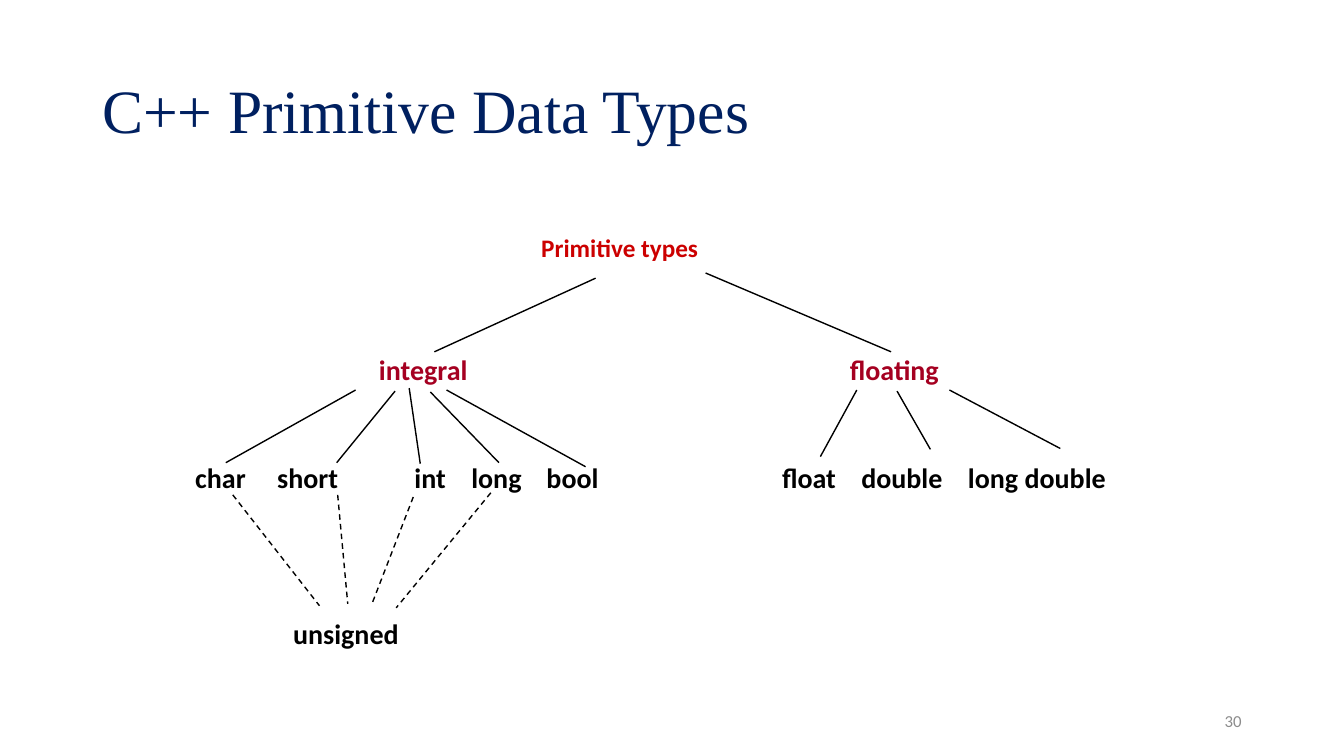
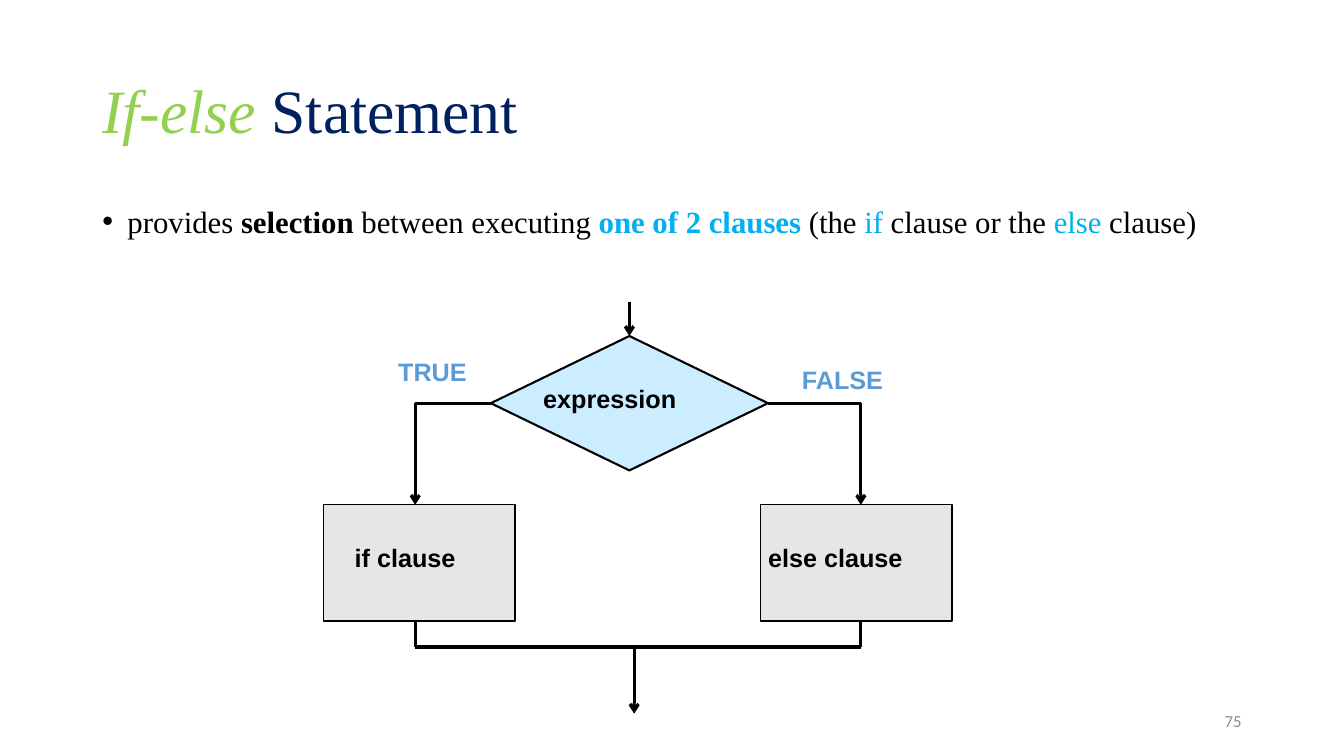
"""Build two C++ lecture slides: a tree of primitive types and an if-else flowchart."""
import pptx
import pptx.dml.color
import pptx.enum.dml
import pptx.enum.shapes
import pptx.enum.text
import pptx.oxml.ns
import pptx.util
from lxml import etree

Pt = pptx.util.Pt
SHAPE = pptx.enum.shapes.MSO_SHAPE
ANCHOR = pptx.enum.text.MSO_ANCHOR
COLORS = {
    "navy": "002060", "green": "92D050", "sky": "00B0F0", "black": "000000",
    "red": "CC0000", "crimson": "A50021", "blue": "5B9BD5",
    "pale": "CCECFF", "gray": "E7E6E6", "number": "8C8C8C",
}
SERIF, SANS, FLOW = "Times New Roman", "Calibri", "Arial"

TYPES_TITLE = [("C++ Primitive Data Types", "navy", "")]
ROOT = ("Primitive types", 386.6, 166.3, 116)
FAMILIES = [("integral", 270.7, 252, 68), ("floating", 607, 252, 68)]
LEAVES = [
    ("char", 139.4, 40), ("short", 198, 48), ("int", 296, 27), ("long", 336.6, 40),
    ("bool", 390.4, 42), ("float", 558.6, 43), ("double", 615.2, 63),
    ("long double", 691.4, 104),
]
LEAF_TOP = 329
MODIFIER = ("unsigned", 209.4, 440.6, 80)
BRANCHES = [
    (425.5, 198.7, 310.3, 251.3), (504, 195, 636.5, 251.3),
    (254, 278.6, 161.3, 330.5), (282.2, 279.4, 240.5, 330.5),
    (292.3, 277.2, 300.2, 331.2), (307.4, 280, 356.4, 330.5),
    (319, 278.6, 418.3, 333.4), (612, 278.6, 586, 326.2),
    (640.8, 279.4, 664.6, 321), (678.2, 278.6, 757.4, 320.4),
]
MODIFIER_LINKS = [
    (166.3, 353.5, 228.2, 432.7), (241.2, 353.5, 248.4, 431.3),
    (295.2, 355, 265.7, 431.3), (350.6, 352, 283, 434.2),
]

IF_TITLE = [("If-else", "green", "i"), (" Statement", "navy", "")]
IF_SUMMARY = [
    ("provides ", "black", ""), ("selection", "black", "b"),
    (" between executing ", "black", ""), ("one of 2 clauses", "sky", "b"),
    (" (the ", "black", ""), ("if", "sky", ""), (" clause or the ", "black", ""),
    ("else", "sky", ""), (" clause)", "black", ""),
]
DECISION = (350.6, 240, 198, 96)
ENTRY_TOP, CLAUSE_TOP, JOIN_Y, EXIT_X, EXIT_Y = 216, 360.6, 462.2, 453, 509.8
CLAUSE_SIZE = (137, 83)
OUTCOMES = [
    {"label": "TRUE", "at": (284.4, 254.2), "clause": "if clause",
     "left": 231, "indent": 22.4, "axis": 296.6},
    {"label": "FALSE", "at": (572.8, 260.6), "clause": "else clause",
     "left": 543, "indent": 5.6, "axis": 614.9},
]


def rgb(name):
    return pptx.dml.color.RGBColor.from_string(COLORS[name])


def write(paragraph, runs, size, face):
    for text, color, style in runs:
        run = paragraph.add_run()
        run.text = text
        font = run.font
        font.size, font.name = Pt(size), face
        font.bold, font.italic = "b" in style, "i" in style
        font.color.rgb = rgb(color)


def add_text(slide, box, runs, size, face, inset=(0, 0), anchor=ANCHOR.TOP):
    frame = slide.shapes.add_textbox(*map(Pt, box)).text_frame
    frame.word_wrap = True
    frame.vertical_anchor = anchor
    frame.margin_left = frame.margin_right = Pt(inset[0])
    frame.margin_top = frame.margin_bottom = Pt(inset[1])
    paragraph = frame.paragraphs[0]
    write(paragraph, runs, size, face)
    return paragraph


def add_label(slide, text, left, top, width, color, size=20, face=SANS):
    add_text(slide, (left, top, width, 25), [(text, color, "b")], size, face)


def add_line(slide, ends, width, dashed=False, arrow=False):
    line = slide.shapes.add_connector(
        pptx.enum.shapes.MSO_CONNECTOR.STRAIGHT, *map(Pt, ends))
    line.line.color.rgb = rgb("black")
    line.line.width = Pt(width)
    if dashed:
        line.line.dash_style = pptx.enum.dml.MSO_LINE.DASH
    if arrow:
        etree.SubElement(line.line._get_or_add_ln(),
                         pptx.oxml.ns.qn("a:tailEnd"), type="arrow")
    etree.SubElement(line._element.spPr, pptx.oxml.ns.qn("a:effectLst"))


def add_block(slide, kind, box, fill, width):
    block = slide.shapes.add_shape(kind, *map(Pt, box))
    block.shadow.inherit = False
    block.fill.solid()
    block.fill.fore_color.rgb = rgb(fill)
    block.line.color.rgb = rgb("black")
    block.line.width = Pt(width)
    return block


def add_slide(deck, title, number):
    slide = deck.slides.add_slide(deck.slide_layouts[6])
    heading = add_text(slide, (66, 28.8, 828, 104.4), title, 44, SERIF,
                       (7.2, 3.6), ANCHOR.MIDDLE)
    heading.line_spacing = 0.9
    footer = add_text(slide, (678, 500.6, 216, 28.8), [(number, "number", "")],
                      12, SANS, (7.2, 3.6), ANCHOR.MIDDLE)
    footer.alignment = pptx.enum.text.PP_ALIGN.RIGHT
    return slide


def build_types(deck):
    slide = add_slide(deck, TYPES_TITLE, "30")
    add_label(slide, *ROOT, "red", 18)
    for family in FAMILIES:
        add_label(slide, *family, "crimson")
    for text, left, width in LEAVES:
        add_label(slide, text, left, LEAF_TOP, width, "black")
    add_label(slide, *MODIFIER, "black")
    for ends in BRANCHES:
        add_line(slide, ends, 1)
    for ends in MODIFIER_LINKS:
        add_line(slide, ends, 1, dashed=True)


def build_if_else(deck):
    slide = add_slide(deck, IF_TITLE, "75")
    summary = add_text(slide, (66, 144, 828, 40), IF_SUMMARY, 22, SERIF, (7.2, 3.6))
    properties = summary._p.get_or_add_pPr()
    properties.set("marL", str(Pt(18)))
    properties.set("indent", str(-Pt(18)))
    etree.SubElement(properties, pptx.oxml.ns.qn("a:buFont"), typeface=FLOW)
    etree.SubElement(properties, pptx.oxml.ns.qn("a:buChar"), char="•")
    summary.line_spacing = 0.9

    left, top, width, height = DECISION
    center, middle = left + width / 2, top + height / 2
    clause_bottom = CLAUSE_TOP + CLAUSE_SIZE[1]
    for outcome, corner in zip(OUTCOMES, (left, left + width)):
        axis = outcome["axis"]
        add_line(slide, (corner, middle, axis, middle), 2.25)
        add_line(slide, (axis, middle, axis, CLAUSE_TOP), 2.25, arrow=True)
        add_line(slide, (axis, clause_bottom, axis, JOIN_Y), 2.25)
        add_label(slide, outcome["label"], *outcome["at"], 70, "blue", 18, FLOW)
        clause = add_block(slide, SHAPE.RECTANGLE,
                           (outcome["left"], CLAUSE_TOP, *CLAUSE_SIZE), "gray", 1)
        frame = clause.text_frame
        frame.word_wrap = True
        frame.vertical_anchor = ANCHOR.TOP
        frame.margin_left, frame.margin_right = Pt(outcome["indent"]), 0
        frame.margin_top = Pt(26.8)
        frame.paragraphs[0].alignment = pptx.enum.text.PP_ALIGN.LEFT
        write(frame.paragraphs[0], [(outcome["clause"], "black", "b")], 18, FLOW)
    add_line(slide, (OUTCOMES[0]["axis"], JOIN_Y, OUTCOMES[1]["axis"], JOIN_Y), 2.25)
    add_line(slide, (EXIT_X, JOIN_Y, EXIT_X, EXIT_Y), 2.25, arrow=True)
    add_block(slide, SHAPE.FLOWCHART_DECISION, DECISION, "pale", 1.5)
    add_label(slide, "expression", 388, 273.6, 104, "black", 18, FLOW)
    add_line(slide, (center, ENTRY_TOP, center, top), 2.25, arrow=True)


def main():
    deck = pptx.Presentation()
    deck.slide_width, deck.slide_height = Pt(960), Pt(540)
    build_types(deck)
    build_if_else(deck)
    deck.save("out.pptx")


if __name__ == "__main__":
    main()
